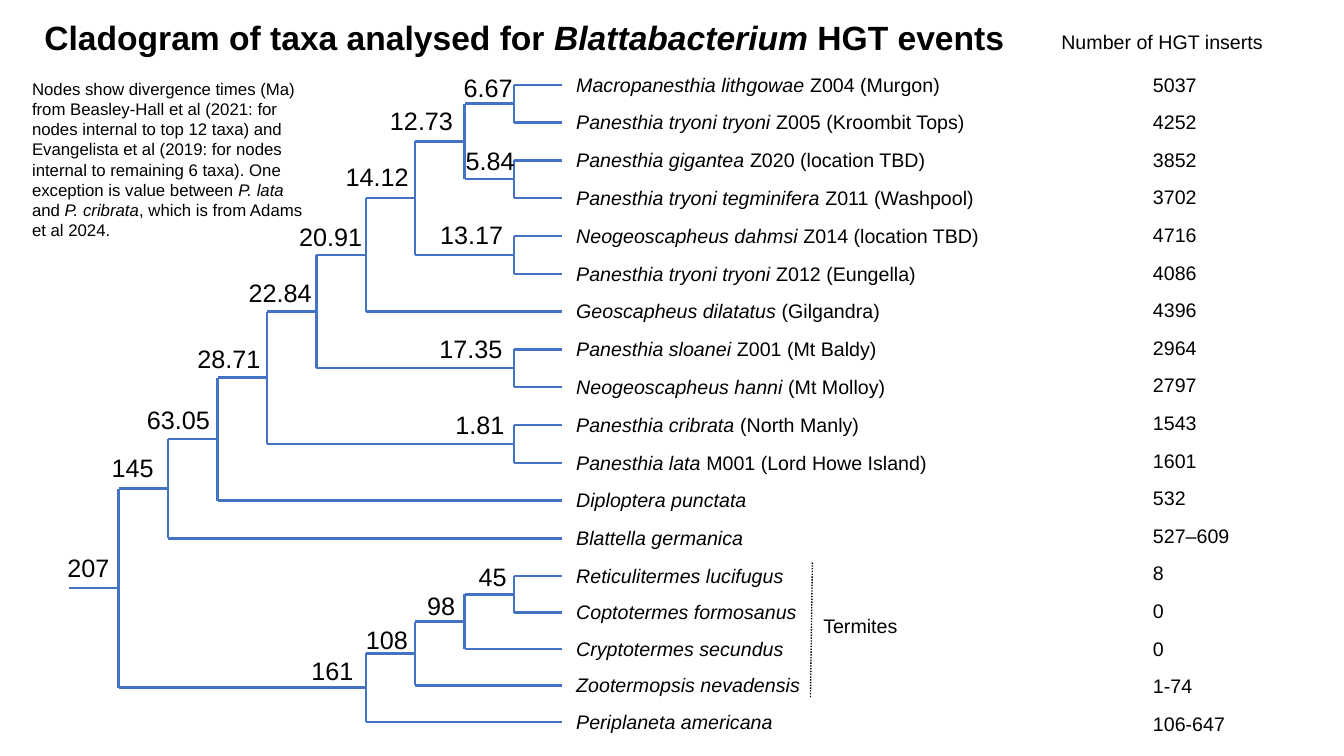
from dataclasses import dataclass

from lxml import etree
from pptx import Presentation
from pptx.dml.color import RGBColor
from pptx.enum import dml, shapes, text
from pptx.oxml import ns
from pptx.slide import Slide
from pptx.util import Pt


@dataclass(frozen=True)
class Theme:
    font: str = "Arial"
    ink: str = "000000"
    branch: str = "4472C4"
    title: int = 24
    age: int = 18
    label: int = 14
    note: int = 12


# Taxon in italics, specimen details, number of HGT inserts
TAXA = [
    ("Macropanesthia lithgowae", "Z004 (Murgon)", "5037"),
    ("Panesthia tryoni tryoni", "Z005 (Kroombit Tops)", "4252"),
    ("Panesthia gigantea", "Z020 (location TBD)", "3852"),
    ("Panesthia tryoni tegminifera", "Z011 (Washpool)", "3702"),
    ("Neogeoscapheus dahmsi", "Z014 (location TBD)", "4716"),
    ("Panesthia tryoni tryoni", "Z012 (Eungella)", "4086"),
    ("Geoscapheus dilatatus", "(Gilgandra)", "4396"),
    ("Panesthia sloanei", "Z001 (Mt Baldy)", "2964"),
    ("Neogeoscapheus hanni", "(Mt Molloy)", "2797"),
    ("Panesthia cribrata", "(North Manly)", "1543"),
    ("Panesthia lata", "M001 (Lord Howe Island)", "1601"),
    ("Diploptera punctata", "", "532"),
    ("Blattella germanica", "", "527–609"),
    ("Reticulitermes lucifugus", "", "8"),
    ("Coptotermes formosanus", "", "0"),
    ("Cryptotermes secundus", "", "0"),
    ("Zootermopsis nevadensis", "", "1-74"),
    ("Periplaneta americana", "", "106-647"),
]

# Clade: age, left and top of its label, upper child, lower child.
# A child is another clade or the row number of a taxon.
TOP_FOUR = ("12.73", 271.5, 72,
            ("6.67", 324, 48.3, 0, 1),
            ("5.84", 325.5, 100.1, 2, 3))
TOP_SIX = ("14.12", 239.8, 111.6, TOP_FOUR, ("13.17", 307.4, 153.4, 4, 5))
TOP_SEVEN = ("20.91", 206.6, 154.8, TOP_SIX, 6)
TOP_NINE = ("22.84", 170.6, 194.4, TOP_SEVEN, ("17.35", 306.7, 234.7, 7, 8))
PANESTHIINES = ("28.71", 133.9, 241.9, TOP_NINE, ("1.81", 318.2, 288.7, 9, 10))
COCKROACHES = ("145", 72.7, 319.7, ("63.05", 97.9, 285.1, PANESTHIINES, 11), 12)
TERMITES = ("108", 254.2, 442.1,
            ("98", 298.1, 418.3, ("45", 334.8, 397.4, 13, 14), 15), 16)
ROOT = ("207", 41, 391, COCKROACHES, ("161", 215.3, 464.4, TERMITES, 17))

NOTE = [
    [("Nodes show divergence times (Ma) from Beasley-Hall et al (2021: for nodes "
      "internal to top 12 taxa) and Evangelista et al (2019: for nodes internal to "
      "remaining 6 taxa). One exception is value between ", False), ("P. lata", True)],
    [("and ", False), ("P. cribrata", True),
     (", which is from Adams et al 2024.", False)],
]

FIRST_ROW, ROW_HEIGHT = 48.3, 24.5
FIRST_TERMITE = 13
TIP_X, NODE_X, NODE_STEP = 401.4, 367.2, 35.3


def row_top(row):
    """Rows are 27 pt apart down to the termites, then 26 pt."""
    return FIRST_ROW + 27 * min(row, FIRST_TERMITE) + 26 * max(row - FIRST_TERMITE, 0)


@dataclass
class Cladogram:
    theme: Theme
    page: Slide

    def fill(self, box, paras, size, wrap=True, bold=False):
        frame = box.text_frame
        layout = {"word_wrap": wrap, "vertical_anchor": text.MSO_ANCHOR.TOP,
                  "auto_size": text.MSO_AUTO_SIZE.SHAPE_TO_FIT_TEXT}
        for name, value in layout.items():
            setattr(frame, name, value)
        for index, spans in enumerate(paras):
            para = frame.add_paragraph() if index else frame.paragraphs[0]
            para.alignment = text.PP_ALIGN.LEFT
            for words, italic in spans:
                span = para.add_run()
                span.text = words
                style = {"name": self.theme.font, "size": Pt(size),
                         "bold": bold, "italic": italic}
                for name, value in style.items():
                    setattr(span.font, name, value)
                span.font.color.rgb = RGBColor.from_string(self.theme.ink)

    def title(self, spans, left, top, width, height):
        box = self.page.shapes.title
        place = {"left": left, "top": top, "width": width, "height": height}
        for name, value in place.items():
            setattr(box, name, Pt(value))
        self.fill(box, [spans], self.theme.title, wrap=False, bold=True)

    def words(self, paras, left, top, width, height, size, wrap=True):
        box = self.page.shapes.add_textbox(Pt(left), Pt(top), Pt(width), Pt(height))
        self.fill(box, paras, size, wrap)

    def label(self, words, left, top, width=72, wrap=True):
        self.words([[(words, False)]], left, top, width, ROW_HEIGHT,
                   self.theme.label, wrap)

    def age(self, words, left, top):
        width = 14.4 + sum(5 if letter == "." else 10 for letter in words)
        self.words([[(words, False)]], left, top, width, 28.8, self.theme.age, False)

    def line(self, x1, y1, x2, y2, color, weight=1.75, dash=None):
        line = self.page.shapes.add_connector(
            shapes.MSO_CONNECTOR.STRAIGHT, Pt(x1), Pt(y1), Pt(x2), Pt(y2))
        line.line.color.rgb = RGBColor.from_string(color)
        line.line.width = Pt(weight)
        if dash:
            line.line.dash_style = dash
        etree.SubElement(line._element.spPr, ns.qn("a:effectLst"))

    def clade(self, node):
        """Draw a clade and return its column, x and y."""
        if isinstance(node, int):
            return -1, TIP_X, row_top(node) + ROW_HEIGHT / 2
        age, left, top, *children = node
        ends = [self.clade(child) for child in children]
        column = 1 + max(end[0] for end in ends)
        x = NODE_X - NODE_STEP * column
        ys = [end[2] for end in ends]
        for _, child_x, child_y in ends:
            self.line(child_x, child_y, x, child_y, self.theme.branch)
        self.line(x, ys[0], x, ys[1], self.theme.branch)
        self.age(age, left, top)
        return column, x, sum(ys) / 2


def main():
    deck = Presentation()
    deck.slide_width, deck.slide_height = Pt(960), Pt(540)
    theme = Theme()
    chart = Cladogram(theme, deck.slides.add_slide(deck.slide_layouts[5]))

    # Headings and note
    chart.title([("Cladogram of taxa analysed for ", False), ("Blattabacterium", True),
                 (" HGT events", False)], 24.5, 8.6, 707, 36)
    chart.label("Number of HGT inserts", 751, 18, 159, wrap=False)
    chart.words(NOTE, 15.8, 52.6, 217.4, 123.8, theme.note)

    # Tree with its root stem
    _, x, y = chart.clade(ROOT)
    chart.line(x, y, x - NODE_STEP, y, theme.branch)

    # Taxa and insert counts
    for row, (taxon, details, inserts) in enumerate(TAXA):
        spans = [(f"{taxon} ", True), (details, False)] if details else [(taxon, True)]
        chart.words([spans], 404.5, row_top(row), 359.3, ROW_HEIGHT, theme.label)
        chart.label(inserts, 816.5, FIRST_ROW + 26.86 * row)

    # Termite bracket
    chart.line(580.3, 401.8, 578.9, 498.2, theme.ink, 1, dml.MSO_LINE.ROUND_DOT)
    chart.label("Termites", 581, 434.9)

    deck.save("out.pptx")


if __name__ == "__main__":
    main()
